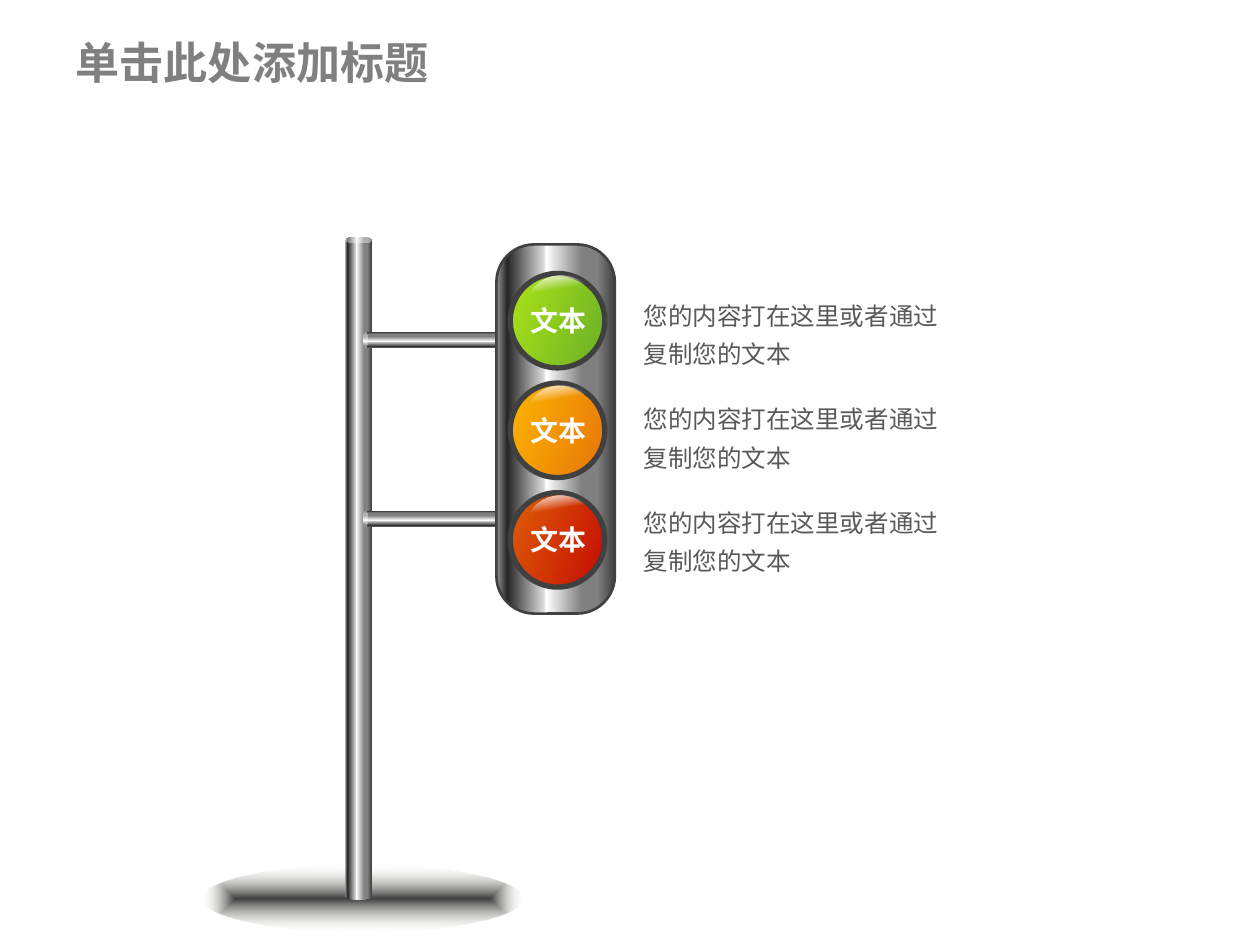
from dataclasses import dataclass

import pptx
import pptx.dml.color
import pptx.enum.shapes
import pptx.enum.text
import pptx.oxml
import pptx.oxml.ns
import pptx.util

Inches = pptx.util.Inches
Pt = pptx.util.Pt
Shape = pptx.enum.shapes.MSO_SHAPE
Align = pptx.enum.text.PP_ALIGN
Anchor = pptx.enum.text.MSO_ANCHOR
Fit = pptx.enum.text.MSO_AUTO_SIZE


@dataclass(frozen=True)
class Theme:
    font: str = "Noto Sans CJK SC"
    title_color: str = "808080"
    body_color: str = "595959"
    label_color: str = "FFFFFF"
    outline: str = "404040"
    title_size: float = 25.2
    label_size: float = 16
    body_size: float = 14
    steel: tuple = ((2, "808080"), (9, "262626"), (40, "D9D9D9"), (42, "FFFFFF"),
                    (72, "808080"), (85, "808080"), (100, "404040"))
    ground: tuple = ((0, "404040"), (100, "EEECE1", 0))
    gloss: tuple = ((0, "FFFFFF", 0), (16, "FFFFFF", 87), (30, "FFFFFF", 0))
    green: tuple = ((2, "60A929"), (100, "B8EB15"))
    amber: tuple = ((2, "E46C0A"), (100, "FFC000"))
    red: tuple = ((2, "C00000"), (100, "E46C0A"))


THEME = Theme()
LAMP_LABEL = "文本"
DESCRIPTION = "您的内容打在这里或者通过复制您的文本"


def rgb(value):
    return pptx.dml.color.RGBColor.from_string(value)


def apply_gradient(shape, stops, angle):
    stop_xml = "".join(
        f'<a:gs pos="{position * 1000}"><a:srgbClr val="{color}">'
        + "".join(f'<a:alpha val="{opacity * 1000}"/>' for opacity in alpha)
        + "</a:srgbClr></a:gs>"
        for position, color, *alpha in stops)
    if angle is None:
        direction = ('<a:path path="shape"><a:fillToRect l="50000" t="50000" '
                     'r="50000" b="50000"/></a:path>')
    else:
        direction = f'<a:lin ang="{angle * 60000}" scaled="0"/>'
    gradient = pptx.oxml.parse_xml(
        f'<a:gradFill {pptx.oxml.ns.nsdecls("a")} rotWithShape="1">'
        f"<a:gsLst>{stop_xml}</a:gsLst>{direction}</a:gradFill>")
    shape.fill.background()
    properties = shape.element.spPr
    properties.replace(properties.find(pptx.oxml.ns.qn("a:noFill")), gradient)


def add_gradient_shape(shapes, kind, box, stops, angle=0, rotation=0, line_width=0):
    shape = shapes.add_shape(kind, *map(Inches, box))
    shape.shadow.inherit = False
    shape.rotation = rotation
    apply_gradient(shape, stops, angle)
    if line_width:
        shape.line.color.rgb = rgb(THEME.outline)
        shape.line.width = Pt(line_width)
    else:
        shape.line.fill.background()
    return shape


def write_text(frame, text, size, color, bold, frame_format, paragraph_format):
    paragraph = frame.paragraphs[0]
    run = paragraph.add_run()
    run.text = text
    run.font.color.rgb = rgb(color)
    font_format = {"name": THEME.font, "size": Pt(size), "bold": bold}
    for target, values in ((frame, frame_format), (paragraph, paragraph_format),
                           (run.font, font_format)):
        for name, value in values.items():
            setattr(target, name, value)
    run.font._element.append(pptx.oxml.parse_xml(
        f'<a:ea {pptx.oxml.ns.nsdecls("a")} typeface="{THEME.font}"/>'))


def add_title(slide, text):
    title = slide.shapes.title
    placement = {"left": 0.5, "top": 0.21, "width": 9, "height": 0.56}
    for name, value in placement.items():
        setattr(title, name, Inches(value))
    write_text(title.text_frame, text, THEME.title_size, THEME.title_color, True,
               {"vertical_anchor": Anchor.MIDDLE, "auto_size": Fit.NONE},
               {"alignment": Align.LEFT})


def add_post(slide):
    add_gradient_shape(slide.shapes, Shape.OVAL, (1.61, 6.87, 2.54, 0.52),
                       THEME.ground, angle=None)
    add_gradient_shape(slide.shapes, Shape.CAN, (2.74, 1.88, 0.21, 5.26), THEME.steel)
    arms = slide.shapes.add_group_shape()
    for top in (1.7, 3.12):
        add_gradient_shape(arms.shapes, Shape.CAN, (3.82, top, 0.13, 2),
                           THEME.steel, rotation=270)


def add_housing(slide):
    housing = add_gradient_shape(slide.shapes, Shape.ROUNDED_RECTANGLE,
                                 (3.94, 1.94, 0.94, 2.93), THEME.steel, line_width=1.5)
    housing.adjustments[0] = 0.318


def add_lamp(slide, top, stops):
    lamp = slide.shapes.add_group_shape()
    add_gradient_shape(lamp.shapes, Shape.OVAL, (4.05, top, 0.75, 0.75), stops,
                       angle=180, rotation=21.1, line_width=3)
    add_gradient_shape(lamp.shapes, Shape.OVAL, (4.16, top + 0.03, 0.62, 0.57),
                       THEME.gloss, angle=45, rotation=35.7)
    label = slide.shapes.add_textbox(*map(Inches, (4.11, top + 0.19, 0.65, 0.37)))
    write_text(label.text_frame, LAMP_LABEL, THEME.label_size, THEME.label_color, True,
               {"word_wrap": False, "auto_size": Fit.SHAPE_TO_FIT_TEXT},
               {"alignment": Align.CENTER})


def add_description(slide, top):
    description = slide.shapes.add_textbox(*map(Inches, (5.01, top, 2.72, 0.71)))
    write_text(description.text_frame, DESCRIPTION, THEME.body_size, THEME.body_color,
               False, {"word_wrap": True, "auto_size": Fit.SHAPE_TO_FIT_TEXT},
               {"line_spacing": 1.3})


def main():
    deck = pptx.Presentation()
    deck.slide_width, deck.slide_height = Inches(10), Inches(7.5)
    slide = deck.slides.add_slide(deck.slide_layouts[5])
    add_title(slide, "单击此处添加标题")
    add_post(slide)
    add_housing(slide)
    for index, stops in enumerate((THEME.green, THEME.amber, THEME.red)):
        add_lamp(slide, 2.17 + index * 0.87, stops)
        add_description(slide, 2.27 + index * 0.82)
    deck.save("out.pptx")


if __name__ == "__main__":
    main()
